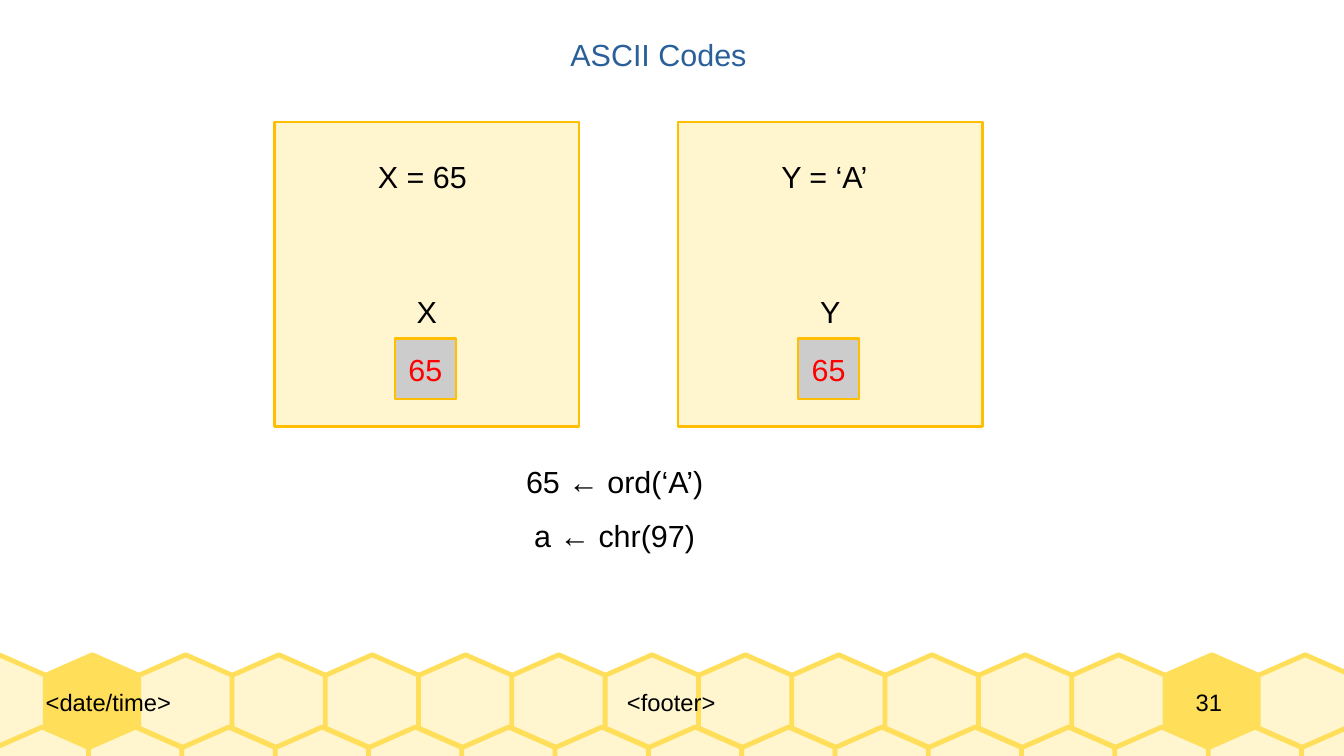
from dataclasses import dataclass

from pptx import Presentation, util as u
from pptx.dml.color import RGBColor
from pptx.enum import shapes as sh, text as tx


@dataclass(frozen=True)
class Theme:
    font: str = "Arial"
    body: int = 18
    small: int = 14
    ink: str = "000000"
    blue: str = "2A6099"
    red: str = "FF0000"
    cream: str = "FFF5CE"
    gold: str = "FFDE59"
    amber: str = "FFBF00"
    grey: str = "CCCCCC"
    thin: float = 1.42
    thick: float = 2.83


@dataclass(frozen=True)
class Box:
    x: float
    y: float
    w: float
    h: float

    def inner(self, x, y, w, h):
        """Inner box, given as shares of this one."""
        return Box(self.x + x * self.w, self.y + y * self.h,
                   w * self.w, h * self.h)

    def emu(self):
        return [u.Inches(v) for v in (self.x, self.y, self.w, self.h)]


T = Theme()
CELL = 0.25
PAGE = Box(0, 0, 11.02, 6.2)
LEFT, MID = tx.PP_ALIGN.LEFT, tx.PP_ALIGN.CENTER
TOP, CENTER, BOTTOM = (tx.MSO_ANCHOR.TOP, tx.MSO_ANCHOR.MIDDLE,
                       tx.MSO_ANCHOR.BOTTOM)


def grid(col, row, cols, rows):
    return Box(*(CELL * n for n in (col, row, cols, rows)))


def paint(shape, fill, line, width):
    shape.shadow.inherit = False
    shape.fill.solid()
    shape.fill.fore_color.rgb = RGBColor.from_string(fill)
    shape.line.color.rgb = RGBColor.from_string(line)
    shape.line.width = u.Pt(width)


def write(shape, words, size=T.body, color=T.ink, align=LEFT, anchor=TOP,
          inset=(0.1, 0.05, 0.1, 0.05), gap=0):
    frame = shape.text_frame
    frame.text = words
    frame.word_wrap = True
    frame.vertical_anchor = anchor
    (frame.margin_left, frame.margin_top, frame.margin_right,
     frame.margin_bottom) = map(u.Inches, inset)
    for i, para in enumerate(frame.paragraphs):
        para.alignment = align
        if i and gap:
            para.space_before = u.Pt(gap)
        for run in para.runs:
            run.font.name = T.font
            run.font.size = u.Pt(size)
            run.font.color.rgb = RGBColor.from_string(color)


def label(slide, box, words, **look):
    write(slide.shapes.add_textbox(*box.emu()), words, **look)


def panel(slide, box, fill):
    shape = slide.shapes.add_shape(sh.MSO_SHAPE.RECTANGLE, *box.emu())
    paint(shape, fill, T.amber, T.thin)
    return shape


def hexa(slide, box, fill):
    shares = ((0.5, 0), (0, 0.22), (0, 0.78), (0.5, 1), (1, 0.78), (1, 0.22))
    dots = [(u.Inches(box.x + a * box.w), u.Inches(box.y + b * box.h))
            for a, b in shares]
    pen = slide.shapes.build_freeform(*dots[0])
    pen.add_line_segments(dots[1:], close=True)
    paint(pen.convert_to_shape(), fill, T.gold, T.thick)


def comb(slide, box):
    """Two interlocking rows of tiles that run off the slide's edges."""
    side, step, count = box.h, 0.765, 15
    for left, drop, full in ((-0.51, 0, (1, 13)), (-0.05, 0.77, ())):
        for i in range(count):
            tile = Box(box.x + left * side + i * step,
                       box.y + drop * side, side, side)
            hexa(slide, tile, T.gold if i in full else T.cream)


def footer(slide, box):
    comb(slide, box)
    marks = ((0.034, 0.238, "<date/time>", LEFT),
             (0.272, 0.455, "<footer>", MID),
             (0.843, 0.113, "31", MID))
    for x, w, words, align in marks:
        label(slide, box.inner(x, 0, w, 1), words, size=T.small, align=align,
              anchor=CENTER, inset=(0, 0, 0, 0))


def card(slide, box, name, code, value):
    """A variable: its assignment, its name and the value in its cell."""
    write(panel(slide, box, T.cream), name, align=MID, anchor=BOTTOM,
          inset=(0.1, 0.05, 0.1, 0.32 * box.h))
    write(panel(slide, box.inner(0.395, 0.71, 0.2, 0.2), T.grey), value,
          color=T.red, align=MID, anchor=CENTER, inset=(0, 0, 0, 0))
    label(slide, box.inner(0.3, 0.1, 0.5, 0.15), code)


def main():
    deck = Presentation()
    deck.slide_width, deck.slide_height = PAGE.emu()[2:]
    slide = deck.slides.add_slide(deck.slide_layouts[6])
    footer(slide, grid(0, 21.48, PAGE.w / CELL, 3.08))
    label(slide, PAGE.inner(0.39, 0.04, 0.2, 0.06), "ASCII Codes",
          color=T.blue, align=MID)
    cards = (("X", "X = 65"), ("Y", "Y = ‘A’"))
    for i, (name, code) in enumerate(cards):
        card(slide, grid(9 + 13.23 * i, 4, 10, 10), name, code, "65")
    label(slide, grid(16.16, 15, 8, 3.25), "65 ← ord(‘A’)\na ← chr(97)",
          align=MID, gap=10)
    deck.save("out.pptx")


if __name__ == "__main__":
    main()
